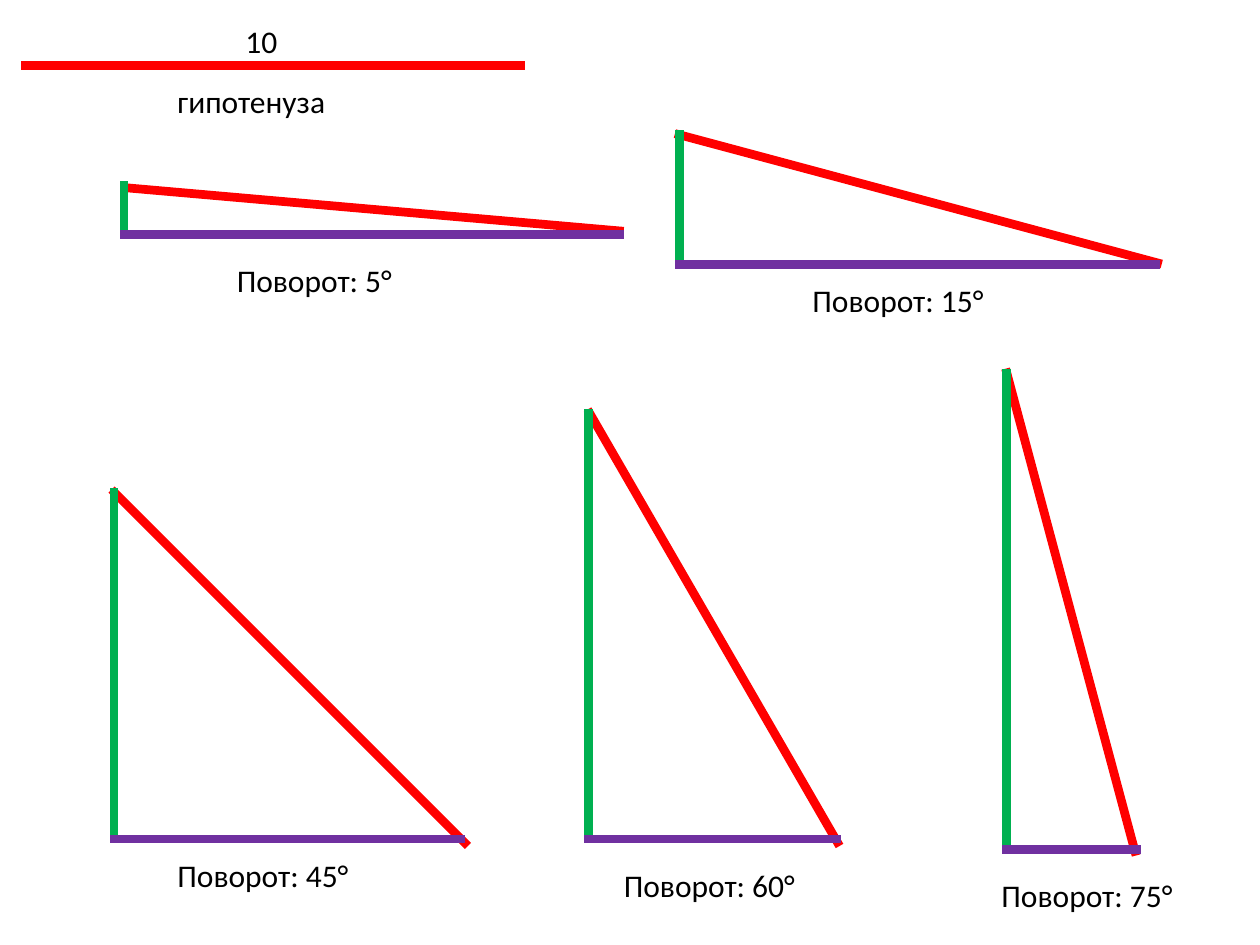
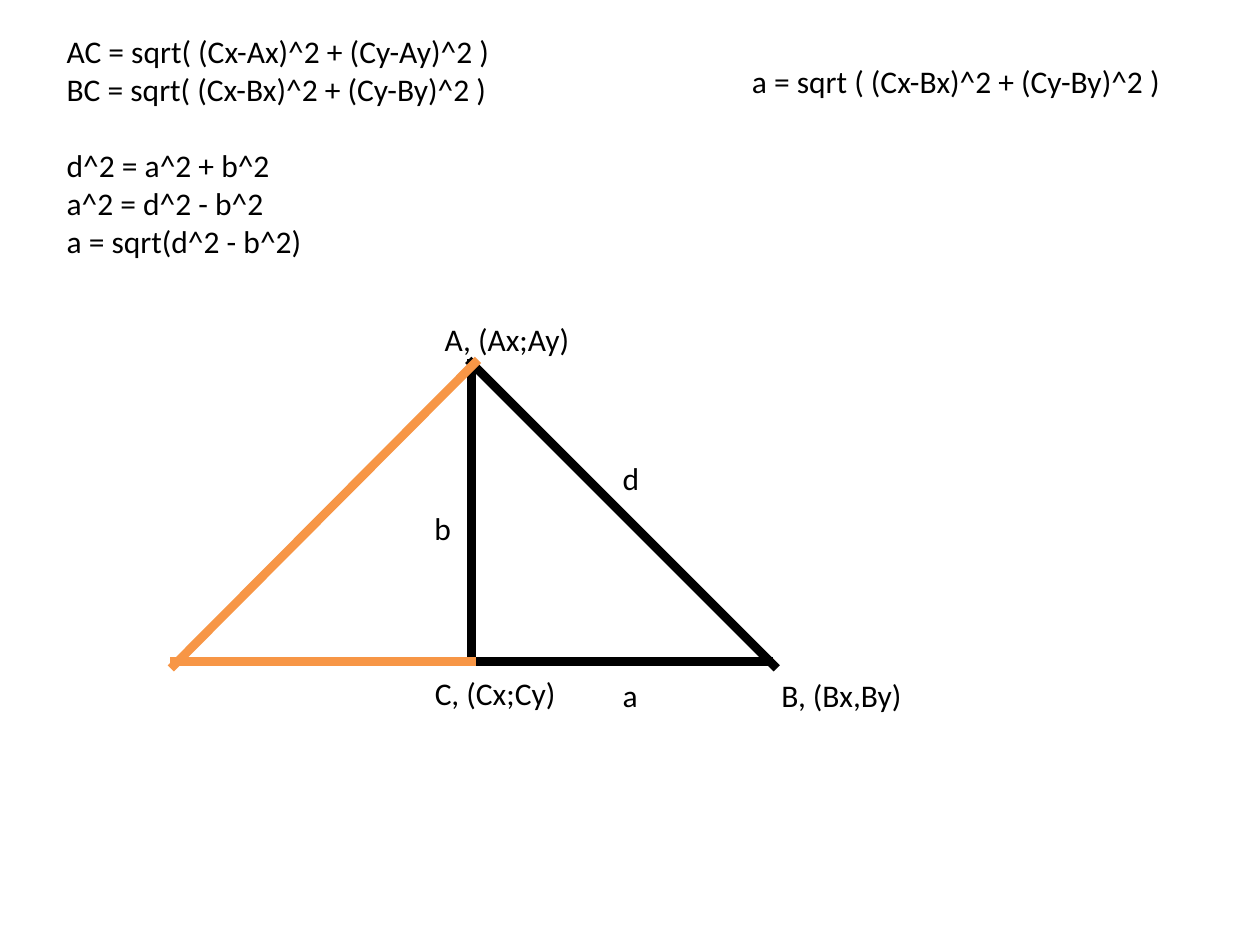
from math import cos, radians, sin

from lxml.etree import SubElement
from pptx import Presentation
from pptx.dml.color import RGBColor
from pptx.enum.shapes import MSO_CONNECTOR as Link
from pptx.enum.text import MSO_AUTO_SIZE as Fit
from pptx.oxml.ns import qn
from pptx.util import Pt

RED = RGBColor(0xFF, 0x00, 0x00)
GREEN = RGBColor(0x00, 0xB0, 0x50)
PURPLE = RGBColor(0x70, 0x30, 0xA0)
ORANGE = RGBColor(0xF7, 0x96, 0x46)
BLACK = RGBColor(0x00, 0x00, 0x00)
LONG = 283


def write(slide, text, x, y, width, height=29, wrap=False, size=18, font="Calibri", color=BLACK, gap=22):
    box = slide.shapes.add_textbox(Pt(x), Pt(y), Pt(width), Pt(height))
    frame = box.text_frame
    frame.word_wrap = wrap
    frame.auto_size = Fit.SHAPE_TO_FIT_TEXT
    for part, block in enumerate(text.split("\n\n")):
        for row, line in enumerate(block.split("\n")):
            first = part == row == 0
            para = frame.paragraphs[0] if first else frame.add_paragraph()
            if part and row == 0:
                para.space_before = Pt(gap)
            run = para.add_run()
            run.text = line
            run.font.size = Pt(size)
            run.font.name = font
            run.font.color.rgb = color


def draw(slide, start, end, color):
    side = slide.shapes.add_connector(Link.STRAIGHT, *map(Pt, start + end))
    side.line.color.rgb = color
    side.line.width = Pt(5)
    side.get_or_add_ln().set("cap", "sq")
    SubElement(side.element.spPr, qn("a:effectLst"))


deck = Presentation()
deck.slide_width = Pt(720)
deck.slide_height = Pt(540)
blank = deck.slide_layouts[6]

turns = deck.slides.add_slide(blank)
draw(turns, (14.4, 37.6), (14.4 + LONG, 37.6), RED)
write(turns, "10", 133.2, 9.2, 33)
write(turns, "гипотенуза", 94.3, 43.2, 101)

triangles = [
    (5, (72, 107.3), 105.8, (70.9, 133.9), 354.2, (128.2, 145.4)),
    (15, (388.1, 77), 77, (388.4, 151.2), 660.2, (457.2, 157)),
    (45, (65.5, 281.5), 281.5, (65.2, 479.5), 263.5, (94.3, 485.5)),
    (60, (337, 236.2), 236.2, (336.2, 479.5), 478.1, (349.4, 491.2)),
    (75, (575.3, 213.1), 213.1, (575.3, 485.3), 649.4, (565.2, 496.8)),
]
for angle, apex, top, corner, right, place in triangles:
    turn = radians(angle)
    tip = (apex[0] + LONG * cos(turn), apex[1] + LONG * sin(turn))
    draw(turns, apex, tip, RED)
    draw(turns, (corner[0], top), corner, GREEN)
    draw(turns, corner, (right, corner[1]), PURPLE)
    write(turns, f"Поворот: {angle}°", *place, 104 if angle < 10 else 114)

proof = deck.slides.add_slide(blank)
peak = (269.3, 207.4)
foot = (269.3, 378)
draw(proof, peak, foot, BLACK)
draw(proof, peak, (442.1, 380.2), BLACK)
draw(proof, (439.2, 378), foot, BLACK)

for text, x, y, width in [
    ("A, (Ax;Ay)", 247, 179.3, 87),
    ("C, (Cx;Cy)", 241.4, 381.8, 85),
    ("B, (Bx,By)", 439.4, 382.5, 85),
    ("d", 348.7, 258.5, 25),
    ("a", 348.7, 382.5, 25),
    ("b", 241.2, 287.3, 25),
]:
    write(proof, text, x, y, width)

draw(proof, (271.4, 207.4), (99.4, 380.2), ORANGE)
draw(proof, (99.4, 378), foot, ORANGE)

rules = """AC = sqrt( (Cx-Ax)^2 + (Cy-Ay)^2 )
BC = sqrt( (Cx-Bx)^2 + (Cy-By)^2 )

d^2 = a^2 + b^2
a^2 = d^2 - b^2
a = sqrt(d^2 - b^2)"""
write(proof, rules, 31, 15, 283.7, 136.8, wrap=True)
write(proof, "a = sqrt ( (Cx-Bx)^2 + (Cy-By)^2 )", 422.6, 31.7, 283.7, wrap=True)

deck.save("out.pptx")
